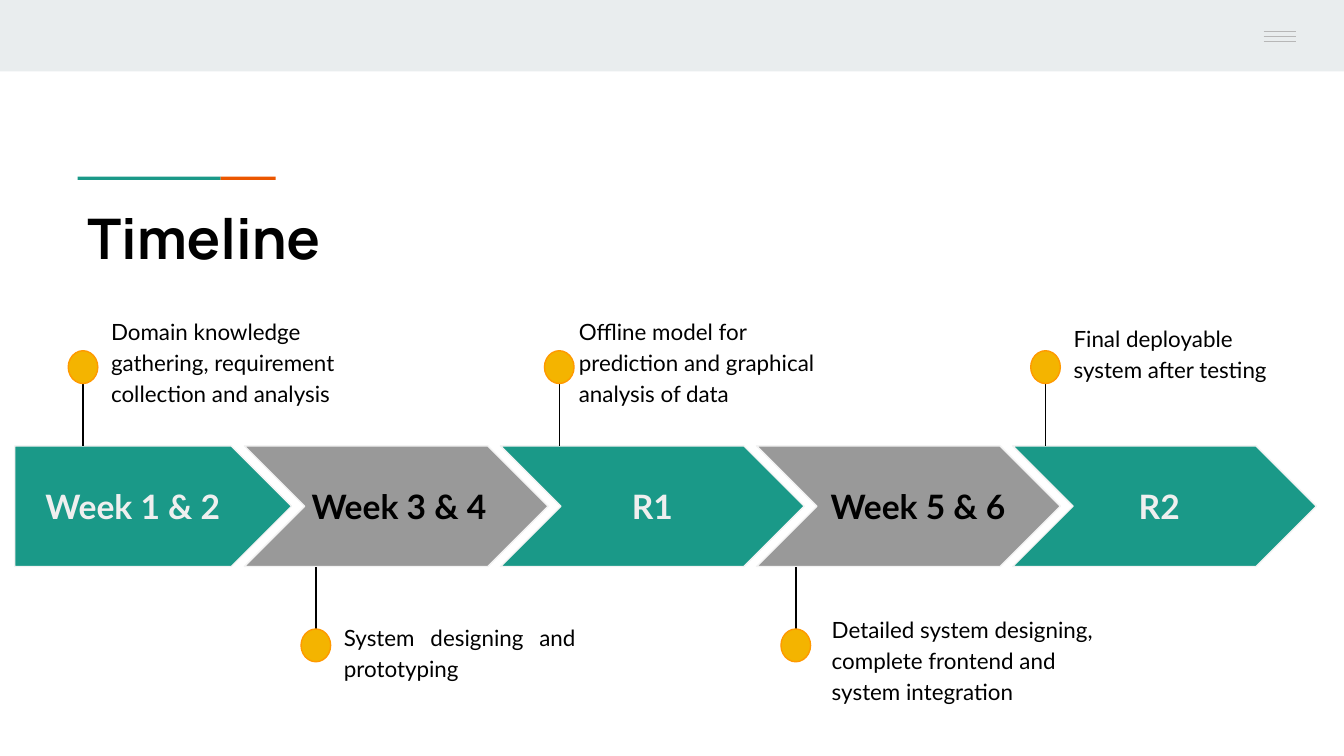
import pptx
import pptx.util
import pptx.dml.color
import pptx.enum.shapes
import pptx.enum.text
import pptx.oxml.ns
import lxml.etree

Cm = pptx.util.Cm
Pt = pptx.util.Pt
ShapeType = pptx.enum.shapes.MSO_SHAPE
Align = pptx.enum.text.PP_ALIGN
Anchor = pptx.enum.text.MSO_ANCHOR
color = pptx.dml.color.RGBColor.from_string


class Theme:
    band, menu = color("E9EDEE"), color("B7B7B7")
    teal, orange, gray = color("1A9988"), color("EB5600"), color("999999")
    outline, light, black = color("F3F3F3"), color("EFEFEF"), color("000000")
    dot, dot_edge = color("F4B400"), color("FF9900")
    title_font, body_font = "Manrope", "Lato"
    title_size, label_size, note_size = Pt(30), Pt(18), Pt(12)
    line_width = Pt(0.75)


presentation = pptx.Presentation()
presentation.slide_width, presentation.slide_height = Cm(25.4), Cm(14.29)
slide = presentation.slides.add_slide(presentation.slide_layouts[6])


def add_shape(kind, left, top, width, height, fill, edge=None):
    shape = slide.shapes.add_shape(kind, Cm(left), Cm(top), Cm(width), Cm(height))
    shape.shadow.inherit = False
    shape.fill.solid()
    shape.fill.fore_color.rgb = fill
    if edge is None:
        shape.line.fill.background()
    else:
        shape.line.color.rgb = edge
        shape.line.width = Theme.line_width


def add_line(x1, y1, x2, y2, line_color):
    line = slide.shapes.add_connector(
        pptx.enum.shapes.MSO_CONNECTOR.STRAIGHT, Cm(x1), Cm(y1), Cm(x2), Cm(y2))
    line.line.color.rgb = line_color
    line.line.width = Theme.line_width
    properties = line._element.spPr
    lxml.etree.SubElement(properties, pptx.oxml.ns.qn("a:effectLst"))


# Top band with menu icon
add_shape(ShapeType.RECTANGLE, 0, 0, 25.4, 1.35, Theme.band)
add_shape(ShapeType.RECTANGLE, 23.01, 0, 2.39, 1.27, Theme.band)
for row in range(3):
    y = 0.6 + 0.09 * row
    add_line(23.88, y, 24.49, y, Theme.menu)

# Two-colour accent above the title
add_shape(ShapeType.RECTANGLE, 1.47, 3.34, 2.7, 0.06, Theme.teal)
add_shape(ShapeType.RECTANGLE, 4.17, 3.34, 1.04, 0.06, Theme.orange)

# Milestones: label, label left, label width, pin x, note, note box, note alignment
milestones = [
    ("Week 1 & 2", 0.48, 4.06, 1.57,
     "Domain knowledge gathering, requirement collection and analysis",
     (1.85, 5.69, 5.03, 1.98), Align.LEFT),
    ("Week 3 & 4", 5.51, 4.06, 5.97,
     "System designing and prototyping",
     (6.25, 11.48, 4.88, 1.55), Align.JUSTIFY),
    ("R1", 10.49, 3.68, 10.57,
     "Offline model for prediction and graphical analysis of data",
     (10.69, 5.69, 5.23, 1.98), Align.LEFT),
    ("Week 5 & 6", 15.32, 4.06, 15.04,
     "Detailed system designing, complete frontend and system integration",
     (15.47, 11.33, 5.44, 1.83), Align.LEFT),
    ("R2", 20.07, 3.68, 19.76,
     "Final deployable system after testing",
     (20.04, 5.82, 4.39, 1.73), Align.LEFT),
]
arrow_top, arrow_height, arrow_step = 8.43, 2.28, 4.84
dot_width, dot_height = 0.56, 0.62

# Text blocks: text, box, font, size, colour, bold, alignment, anchor, line spacing
texts = [("Timeline", (1.4, 3.6, 7.77, 2.54), Theme.title_font, Theme.title_size,
          Theme.black, True, Align.LEFT, Anchor.TOP, 1)]

# Arrows and pins; even milestones point up, odd ones point down
for index, (label, label_left, label_width, pin_x, note, note_box, align) in enumerate(milestones):
    above = index % 2 == 0
    fill = Theme.teal if above else Theme.gray
    if index == 0:
        add_shape(ShapeType.PENTAGON, 0.28, arrow_top, 5.23, arrow_height, fill, Theme.outline)
    else:
        add_shape(ShapeType.CHEVRON, 4.62 + arrow_step * (index - 1), arrow_top,
                  5.74, arrow_height, fill, Theme.outline)

    line_start, line_end, dot_top = (6.73, 8.43, 6.63) if above else (12.4, 10.71, 11.89)
    add_line(pin_x, line_start, pin_x, line_end, Theme.black)
    add_shape(ShapeType.OVAL, pin_x - dot_width / 2, dot_top, dot_width, dot_height,
              Theme.dot, Theme.dot_edge)

    texts.append((label, (label_left, 8.84, label_width, 1.45), Theme.body_font,
                  Theme.label_size, Theme.light if above else Theme.black, True,
                  Align.CENTER, Anchor.MIDDLE, 1))
    texts.append((note, note_box, Theme.body_font, Theme.note_size, Theme.black, False,
                  align, Anchor.TOP, 1.15))

# Title, labels and notes
for text, box, font, size, text_color, bold, align, anchor, spacing in texts:
    frame = slide.shapes.add_textbox(*map(Cm, box)).text_frame
    frame.word_wrap = True
    frame.vertical_anchor = anchor
    frame.margin_left = frame.margin_right = Cm(0.25)
    frame.margin_top = frame.margin_bottom = Cm(0.25)
    paragraph = frame.paragraphs[0]
    paragraph.text = text
    paragraph.alignment = align
    paragraph.line_spacing = spacing
    paragraph.font.name = font
    paragraph.font.size = size
    paragraph.font.bold = bold
    paragraph.font.color.rgb = text_color

presentation.save("out.pptx")
